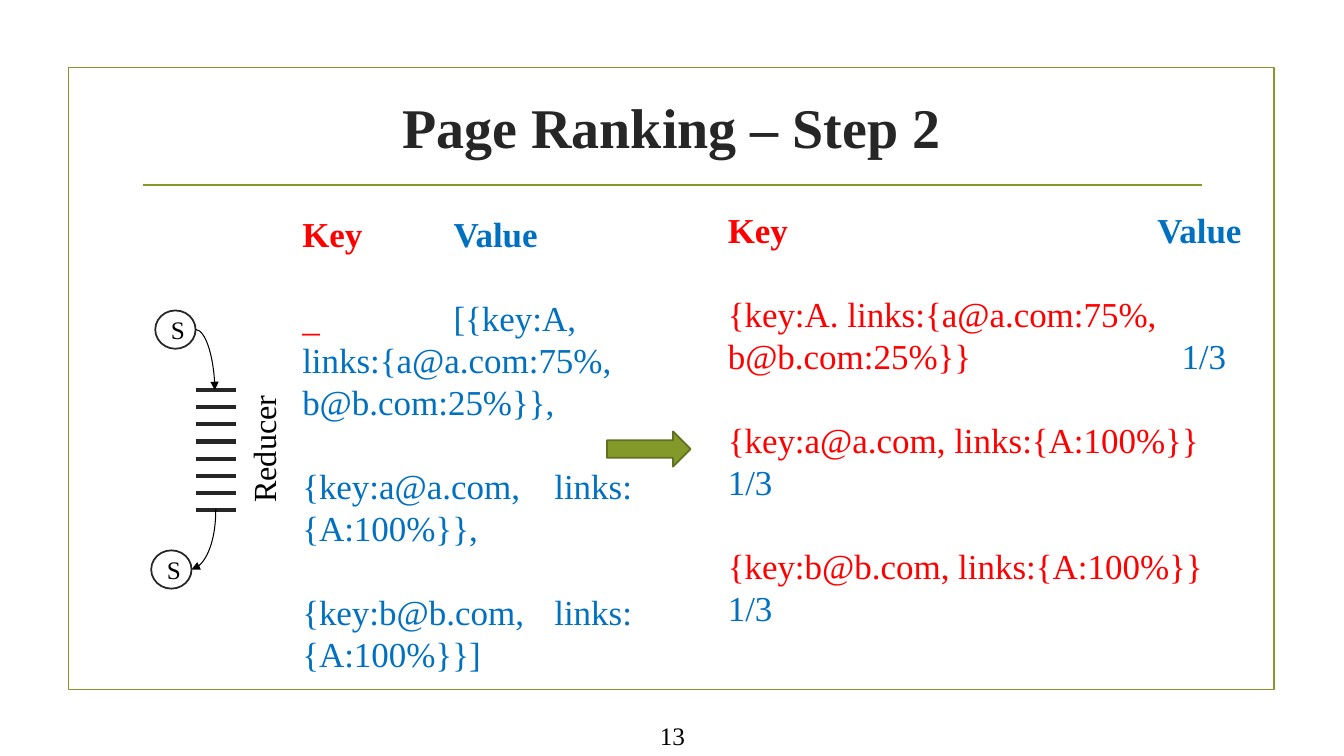
import pptx
import pptx.util
import pptx.dml.color
import pptx.enum.shapes
import pptx.enum.text
import pptx.oxml
import pptx.oxml.ns

Inches, Pt = pptx.util.Inches, pptx.util.Pt
SHAPE = pptx.enum.shapes.MSO_SHAPE
CONNECTOR = pptx.enum.shapes.MSO_CONNECTOR
ANCHOR = pptx.enum.text.MSO_ANCHOR
ALIGN = pptx.enum.text.PP_ALIGN
qn = pptx.oxml.ns.qn

COLORS = {"green": "83992A", "dark_green": "61711F", "ink": "262626",
          "black": "000000", "key": "FF0000", "value": "0070C0"}


def rgb(name):
    return pptx.dml.color.RGBColor.from_string(COLORS[name])


def add_xml(parent, tag, **attributes):
    child = pptx.oxml.parse_xml(f"<a:{tag} {pptx.oxml.ns.nsdecls('a')}/>")
    for name, value in attributes.items():
        child.set(name, str(value))
    parent.append(child)
    return child


class SlideBuilder:
    font = "Times New Roman"

    def __init__(self, slide):
        self.shapes = slide.shapes

    def style(self, font, size, color, bold=False):
        font.name, font.size, font.bold = self.font, Pt(size), bold
        font.color.rgb = rgb(color)

    def shape(self, kind, box, line, fill=None):
        shape = self.shapes.add_shape(kind, *map(Inches, box))
        shape.shadow.inherit = False
        if fill:
            shape.fill.solid()
            shape.fill.fore_color.rgb = rgb(fill)
        else:
            shape.fill.background()
        shape.line.color.rgb = rgb(line)
        shape.line.width = Pt(1.25)
        return shape

    def state(self, left, top):
        circle = self.shape(SHAPE.OVAL, (left, top, 0.4, 0.38), "ink")
        frame = circle.text_frame
        frame.margin_left = Inches(0.05)
        frame.margin_right = frame.margin_top = frame.margin_bottom = 0
        frame.vertical_anchor = ANCHOR.MIDDLE
        self.center_text(frame.paragraphs[0], "S", 18)

    def center_text(self, paragraph, text, size, color="black", bold=False):
        paragraph.text = text
        paragraph.alignment = ALIGN.CENTER
        self.style(paragraph.font, size, color, bold)

    def label(self, text, box, size, color="black", bold=False, rotation=0):
        label = self.shapes.add_textbox(*map(Inches, box))
        label.rotation = rotation
        label.text_frame.word_wrap = True
        label.text_frame.vertical_anchor = ANCHOR.MIDDLE
        self.center_text(label.text_frame.paragraphs[0], text, size, color, bold)

    def records(self, box, rows):
        """Each row: key text, value text, bold, space before, tab stop."""
        frame = self.shapes.add_textbox(*map(Inches, box)).text_frame
        frame.word_wrap = True
        for index, (key, value, bold, gap, tab) in enumerate(rows):
            paragraph = frame.add_paragraph() if index else frame.paragraphs[0]
            paragraph.line_spacing = Pt(30)
            paragraph.space_before = Pt(gap)
            if tab:
                stops = add_xml(paragraph._p.get_or_add_pPr(), "tabLst")
                add_xml(stops, "tab", pos=Inches(tab), algn="l")
            for text, color in ((key, "key"), (value, "value")):
                if text:
                    run = paragraph.add_run()
                    run.text = text
                    self.style(run.font, 25, color, bold)

    def line(self, start, end, color, width, kind=CONNECTOR.STRAIGHT):
        line = self.shapes.add_connector(kind, *map(Inches, start + end))
        line.line.color.rgb = rgb(color)
        line.line.width = Pt(width)
        add_xml(line._element.spPr, "effectLst")
        return line

    def curved_arrow(self, start, end, rotation=0):
        arrow = self.line(start, end, "black", 0.75, CONNECTOR.CURVE)
        properties = arrow._element.spPr
        properties.find(qn("a:prstGeom")).set("prst", "curvedConnector2")
        properties.find(qn("a:xfrm")).set("rot", str(rotation * 60000))
        add_xml(properties.find(qn("a:ln")), "tailEnd", type="triangle")


def main():
    deck = pptx.Presentation()
    deck.slide_width, deck.slide_height = Inches(13.33), Inches(7.5)
    builder = SlideBuilder(deck.slides.add_slide(deck.slide_layouts[6]))

    # Frame and title
    builder.shape(SHAPE.RECTANGLE, (0.68, 0.67, 11.96, 6.17), "green")
    builder.line((1.42, 1.84), (11.92, 1.84), "green", 1.5)
    builder.label("Page Ranking – Step 2", (0.69, 0.67, 11.94, 1.17), 40, "ink", True)

    # Reducer: a stack of bars between two states
    for bar in range(8):
        height = 3.87 + 0.17 * bar
        builder.line((1.94, height), (2.34, height), "ink", 3)
    builder.state(1.54, 3.08)
    builder.state(1.5, 5.46)
    builder.label("Reducer", (1.94, 4.21, 1.34, 0.49), 23, rotation=270)
    builder.curved_arrow((1.94, 3.27), (2.13, 3.87))
    builder.curved_arrow((1.72, 5.23), (2.32, 5.47), rotation=90)

    # Reducer input
    builder.records((2.9, 2.06, 3.7, 3.89), [
        ("Key", "\tValue", True, 0, 1.5),
        ("_", "\t[{key:A, \tlinks:{a@a.com:75%, \tb@b.com:25%}},", False, 30, None),
        ("", "\t{key:a@a.com, \tlinks:{A:100%}},", False, 0, None),
        ("", "\t{key:b@b.com, \tlinks:{A:100%}}]", False, 0, None),
    ])

    # Reducer output
    builder.records((7.12, 2.02, 5.58, 4.27), [
        ("Key", "\tValue", True, 0, 4.26),
        ("{key:A. links:{a@a.com:75%, b@b.com:25%}}", "\t1/3", False, 30, 4.5),
        ("{key:a@a.com, links:{A:100%}}", "\t1/3", False, 30, None),
        ("{key:b@b.com, links:{A:100%}}", "\t1/3", False, 30, None),
    ])
    builder.shape(SHAPE.RIGHT_ARROW, (6.02, 4.28, 0.83, 0.35), "dark_green", "green")

    # Slide number
    builder.label("13", (6.39, 7.1, 0.56, 0.4), 18)

    deck.save("out.pptx")


if __name__ == "__main__":
    main()
